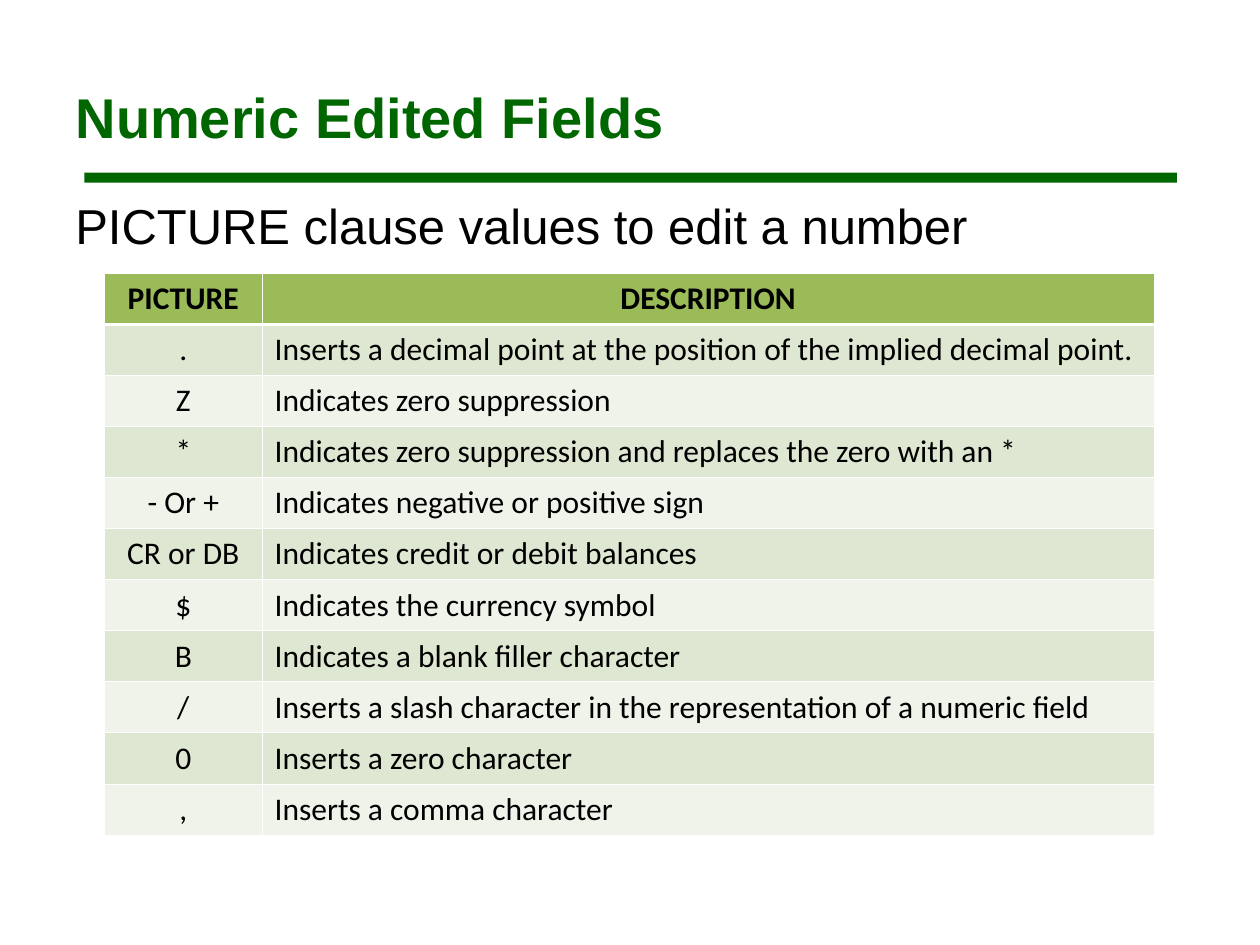
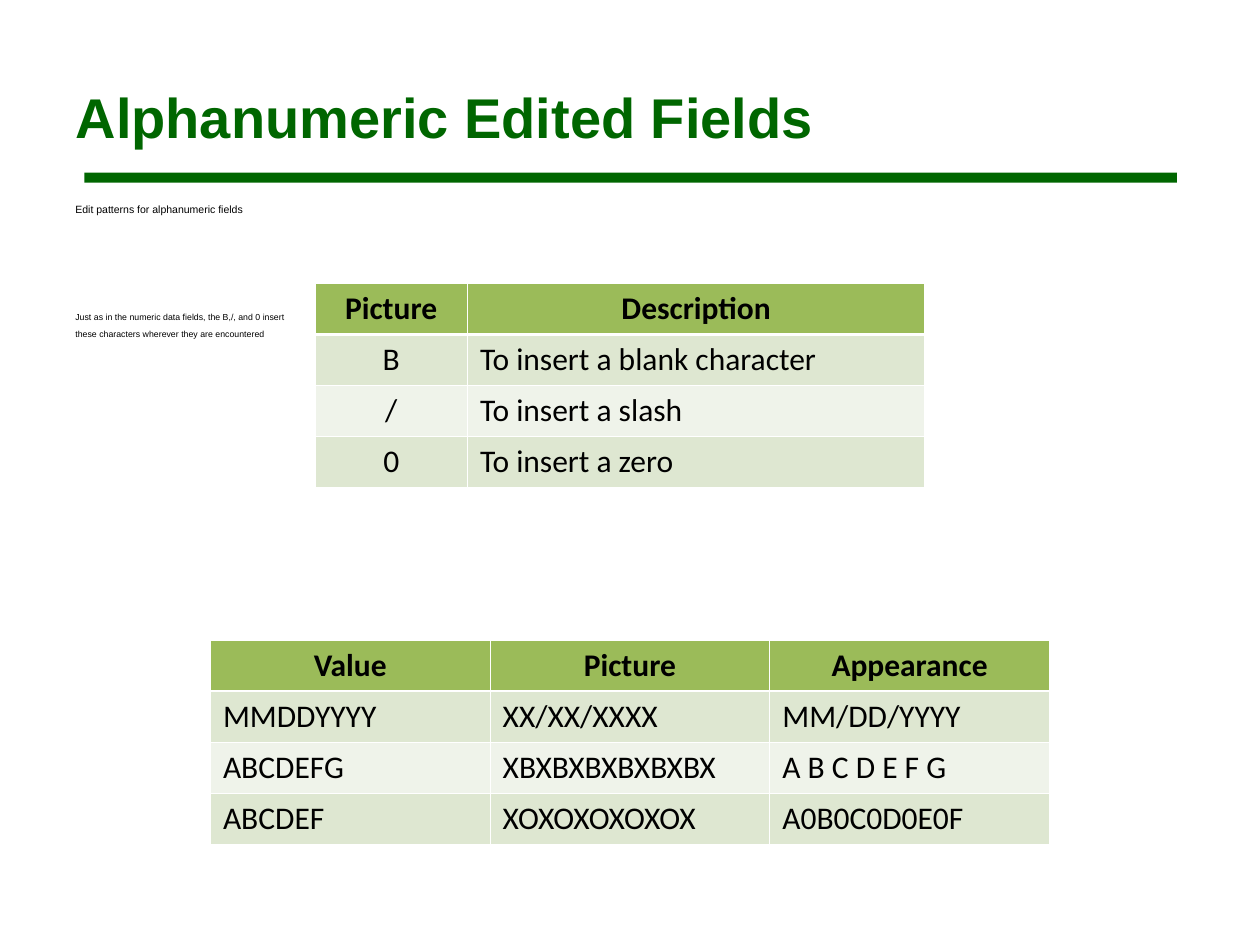
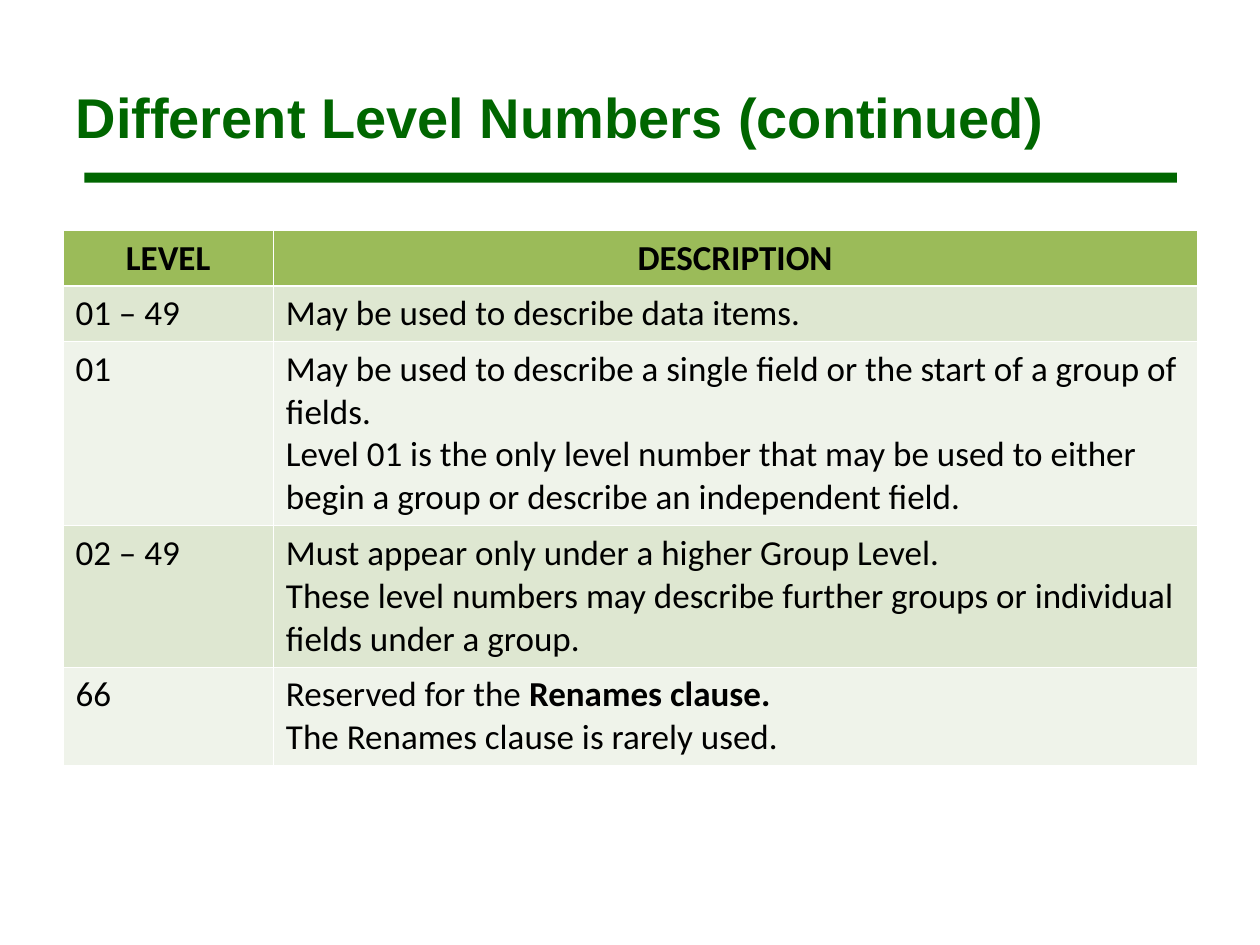
import dataclasses
import typing

import lxml.etree
import pptx
import pptx.dml.color
import pptx.enum.shapes
import pptx.enum.text
import pptx.oxml.ns
import pptx.util

SCALE = 9144  # EMU in one px, 100 px to the inch
ALIGN = {"l": pptx.enum.text.PP_ALIGN.LEFT, "c": pptx.enum.text.PP_ALIGN.CENTER}


@dataclasses.dataclass(frozen=True)
class Theme:
    """Colours, fonts and type sizes of the deck."""
    green: str = "006600"
    black: str = "000000"
    white: str = "FFFFFF"
    head: str = "9BBB59"
    odd: str = "DEE7D1"
    even: str = "EFF3EA"
    sans: str = "Arial"
    grid: str = "Calibri"
    title: int = 32
    lead: int = 28
    small: int = 6
    tiny: int = 5
    cell: int = 18
    large: int = 20
    thin: float = 0.45
    thick: float = 1.47


THEME = Theme()


class Box(typing.NamedTuple):
    left: int
    top: int
    width: int
    height: int


class Line(typing.NamedTuple):
    """One paragraph of body text."""
    text: str
    size: int
    before: int
    pitch: float = 1.0


@dataclasses.dataclass(frozen=True)
class Body:
    box: Box
    lines: tuple[Line, ...]


@dataclasses.dataclass(frozen=True)
class Grid:
    """A table; align has one letter for each column of the body rows.
    In a cell, a line break starts a paragraph and ** marks bold."""
    box: Box
    cols: tuple[int, ...]
    align: str
    cells: tuple[tuple[str, ...], ...]
    rows: tuple[int, ...] = ()
    size: int = THEME.cell


@dataclasses.dataclass(frozen=True)
class Page:
    title: str
    blocks: tuple[Body | Grid, ...]


TITLE = Box(50, 30, 900, 125)
BAND = Box(67, 137, 867, 8)

PAGES = (
    Page("Numeric Edited Fields", (
        Body(Box(50, 150, 900, 67), (
            Line("PICTURE clause values to edit a number", THEME.lead, 7),
        )),
        Grid(Box(83, 217, 833, 446), (125, 708), "cl", (
            ("PICTURE", "DESCRIPTION"),
            (".", "Inserts a decimal point at the position of the implied decimal point."),
            ("Z", "Indicates zero suppression"),
            ("*", "Indicates zero suppression and replaces the zero with an *"),
            ("- Or +", "Indicates negative or positive sign"),
            ("CR or DB", "Indicates credit or debit balances"),
            ("$", "Indicates the currency symbol"),
            ("B", "Indicates a blank filler character"),
            ("/", "Inserts a slash character in the representation of a numeric field"),
            ("0", "Inserts a zero character"),
            (",", "Inserts a comma character"),
        )),
    )),
    Page("Alphanumeric Edited Fields", (
        Body(Box(50, 158, 900, 50), (
            Line("Edit patterns for alphanumeric fields", THEME.small, 6, 0.8),
            Line("Just as in the numeric data fields, the B,/, and 0 insert",
                 THEME.tiny, 56, 0.8),
            Line("these characters wherever they are encountered", THEME.tiny, 5, 0.8),
        )),
        Grid(Box(250, 225, 483, 162), (121, 363), "cl", (
            ("Picture", "Description"),
            ("B", "To insert a blank character"),
            ("/", "To insert a slash"),
            ("0", "To insert a zero"),
        )),
        Grid(Box(167, 508, 667, 162), (222,) * 3, "lll", (
            ("Value", "Picture", "Appearance"),
            ("MMDDYYYY", "XX/XX/XXXX", "MM/DD/YYYY"),
            ("ABCDEFG", "XBXBXBXBXBXBX", "A B C D E F G"),
            ("ABCDEF", "XOXOXOXOXOX", "A0B0C0D0E0F"),
        )),
    )),
    Page("Different Level Numbers (continued)", (
        Grid(Box(50, 183, 900, 417), (167, 733), "ll", (
            ("LEVEL", "DESCRIPTION"),
            ("01 – 49", "May be used to describe data items."),
            ("01", "May be used to describe a single field or the start of a group of fields.\n"
                   "Level 01 is the only level number that may be used to either begin "
                   "a group or describe an independent field."),
            ("02 – 49", "Must appear only under a higher Group Level.\n"
                        "These level numbers may describe further groups or "
                        "individual fields under a group."),
            ("66", "Reserved for the **Renames clause.**\n"
                   "The Renames clause is rarely used."),
        ), (44, 44, 144, 110, 77), THEME.large),
    )),
)


def place(box: Box) -> tuple[int, ...]:
    return tuple(side * SCALE for side in box)


def paint(fill: typing.Any, tone: str) -> None:
    fill.solid()
    fill.fore_color.rgb = pptx.dml.color.RGBColor.from_string(tone)


def style(item: typing.Any, **form: typing.Any) -> None:
    """Set each named attribute of the item."""
    for name, value in form.items():
        setattr(item, name, value)


def write(par: typing.Any, text: str, face: str, size: int, tone: str,
          bold: bool = False) -> None:
    """Add the runs of one paragraph; ** turns bold on and off."""
    for turn, piece in enumerate(text.split("**")):
        if piece:
            run = par.add_run()
            run.text = piece
            style(run.font, name=face, size=pptx.util.Pt(size), bold=bold or turn % 2 == 1)
            run.font.color.rgb = pptx.dml.color.RGBColor.from_string(tone)


def draw_title(slide: typing.Any, text: str) -> None:
    title = slide.shapes.title
    style(title, **dict(zip(("left", "top", "width", "height"), place(TITLE))))
    style(title.text_frame, word_wrap=True,
          auto_size=pptx.enum.text.MSO_AUTO_SIZE.NONE,
          vertical_anchor=pptx.enum.text.MSO_ANCHOR.MIDDLE)
    par = title.text_frame.paragraphs[0]
    par.alignment = ALIGN["l"]
    write(par, text, THEME.sans, THEME.title, THEME.green, True)


def draw_band(slide: typing.Any) -> None:
    """Draw the rule under the title and hand it to the layout."""
    band = slide.shapes.add_shape(pptx.enum.shapes.MSO_SHAPE.RECTANGLE, *place(BAND))
    band.shadow.inherit = False
    paint(band.fill, THEME.green)
    band.line.fill.background()
    slide.slide_layout.shapes.element.append(band.element)


def draw_body(slide: typing.Any, body: Body) -> None:
    frame = slide.shapes.add_textbox(*place(body.box)).text_frame
    frame.word_wrap = True
    for rank, line in enumerate(body.lines):
        par = frame.add_paragraph() if rank else frame.paragraphs[0]
        style(par, space_before=pptx.util.Pt(line.before), line_spacing=line.pitch)
        write(par, line.text, THEME.sans, line.size, THEME.black)


def edge(cell: typing.Any, row: int) -> None:
    """Give a cell white borders, thick between head and body."""
    props = cell._tc.get_or_add_tcPr()
    thick = {(0, "B"), (1, "T")}
    for rank, side in enumerate("LRTB"):
        width = THEME.thick if (row, side) in thick else THEME.thin
        line = lxml.etree.Element(pptx.oxml.ns.qn(f"a:ln{side}"),
                                  w=str(int(pptx.util.Pt(width))))
        fill = lxml.etree.SubElement(line, pptx.oxml.ns.qn("a:solidFill"))
        lxml.etree.SubElement(fill, pptx.oxml.ns.qn("a:srgbClr"), val=THEME.white)
        props.insert(rank, line)


def draw_cell(cell: typing.Any, text: str, row: int, side: str, size: int) -> None:
    head = row == 0
    paint(cell.fill, THEME.head if head else THEME.odd if row % 2 else THEME.even)
    edge(cell, row)
    for rank, piece in enumerate(text.split("\n")):
        par = cell.text_frame.add_paragraph() if rank else cell.text_frame.paragraphs[0]
        par.alignment = ALIGN["c" if head else side]
        write(par, piece, THEME.grid, size, THEME.black, head)


def draw_grid(slide: typing.Any, grid: Grid) -> None:
    table = slide.shapes.add_table(len(grid.cells), len(grid.cols),
                                   *place(grid.box)).table
    style(table, first_row=False, horz_banding=False)
    for col, width in zip(table.columns, grid.cols):
        col.width = width * SCALE
    for row, height in zip(table.rows, grid.rows):
        row.height = height * SCALE
    for row, texts in enumerate(grid.cells):
        for col, text in enumerate(texts):
            draw_cell(table.cell(row, col), text, row, grid.align[col], grid.size)


def main() -> None:
    deck = pptx.Presentation()
    style(deck, slide_width=1000 * SCALE, slide_height=750 * SCALE)
    layout = deck.slide_layouts.get_by_name("Title Only")
    for rank, page in enumerate(PAGES):
        slide = deck.slides.add_slide(layout)
        if rank == 0:
            draw_band(slide)
        draw_title(slide, page.title)
        for block in page.blocks:
            draw = draw_grid if isinstance(block, Grid) else draw_body
            draw(slide, block)
    deck.save("out.pptx")


if __name__ == "__main__":
    main()
